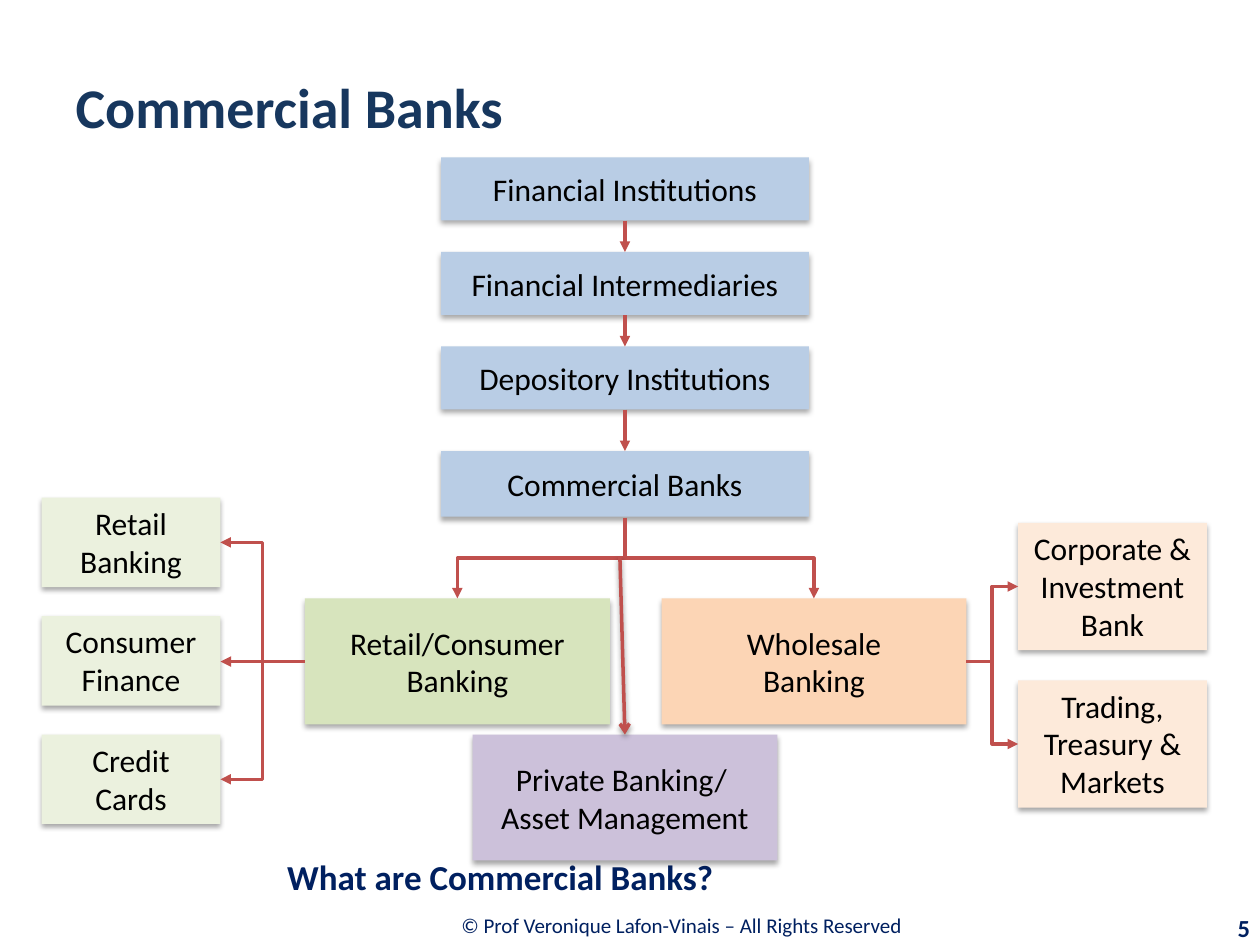
from lxml import etree
from pptx import Presentation
from pptx.dml.color import RGBColor
from pptx.enum import shapes, text
from pptx.oxml import ns
from pptx.util import Inches, Pt

COLORS = {
    "title": "17375E", "navy": "002060", "black": "000000", "arrow": "C0504D",
    "blue": "B9CDE5", "green": "D7E4BD", "orange": "FCD5B5", "purple": "CCC1DA",
    "pale_green": "EBF1DE", "pale_orange": "FDEADA",
}
MIDDLE = text.MSO_ANCHOR.MIDDLE
LEFT, CENTER, RIGHT = text.PP_ALIGN.LEFT, text.PP_ALIGN.CENTER, text.PP_ALIGN.RIGHT


def rgb(name):
    return RGBColor.from_string(COLORS[name])


def add_shadow(shape, opacity, distance):
    """Replace the theme effect with a soft shadow falling straight down."""
    properties = shape.element.spPr
    effects = etree.SubElement(properties, ns.qn("a:effectLst"))
    shadow = etree.SubElement(effects, ns.qn("a:outerShdw"), blurRad=str(Pt(3.1)),
                              dist=str(Pt(distance)), dir="5400000", rotWithShape="0")
    color = etree.SubElement(shadow, ns.qn("a:srgbClr"), val=COLORS["black"])
    etree.SubElement(color, ns.qn("a:alpha"), val=str(opacity * 1000))


def write_text(shape, lines, size, color, align, bold=False, anchor=MIDDLE, wrap=True):
    frame = shape.text_frame
    frame.word_wrap = wrap
    frame.vertical_anchor = anchor
    frame.text = lines
    font_format = {"name": "Calibri", "size": Pt(size), "bold": bold}
    for paragraph in frame.paragraphs:
        paragraph.alignment = align
        for run in paragraph.runs:
            for attribute, value in font_format.items():
                setattr(run.font, attribute, value)
            run.font.color.rgb = rgb(color)


def add_title(slide, title):
    shape = slide.shapes.title
    place = {"left": 0.5, "top": 0.13, "width": 8.25, "height": 1.42}
    for attribute, value in place.items():
        setattr(shape, attribute, Inches(value))
    write_text(shape, title, 32, "title", LEFT, bold=True)


def add_label(slide, place, *text_format, bold=False):
    shape = slide.shapes.add_textbox(*map(Inches, place))
    write_text(shape, *text_format, bold=bold)


def add_box(slide, place, lines, color, anchor=MIDDLE, wrap=False):
    shape = slide.shapes.add_shape(shapes.MSO_SHAPE.RECTANGLE, *map(Inches, place))
    shape.fill.solid()
    shape.fill.fore_color.rgb = rgb(color)
    shape.line.fill.background()
    add_shadow(shape, 35, 1.8)
    write_text(shape, lines, 18, "black", CENTER, anchor=anchor, wrap=wrap)


def add_arrow(slide, start, end, kind=shapes.MSO_CONNECTOR.STRAIGHT, head="triangle",
              shadow=False):
    connector = slide.shapes.add_connector(kind, *map(Inches, (*start, *end)))
    connector.line.color.rgb = rgb("arrow")
    connector.line.width = Pt(2)
    etree.SubElement(connector.line._get_or_add_ln(), ns.qn("a:tailEnd"), type=head)
    if shadow:
        add_shadow(connector, 38, 1.6)
    else:
        etree.SubElement(connector.element.spPr, ns.qn("a:effectLst"))
    return connector


def add_side_elbow(slide, start, end):
    add_arrow(slide, start, end, shapes.MSO_CONNECTOR.ELBOW)


def add_down_elbow(slide, start, end):
    """Elbow that leaves and arrives vertically: a sideways one turned by 90 degrees."""
    middle_x, middle_y = (start[0] + end[0]) / 2, (start[1] + end[1]) / 2
    half_x, half_y = (end[0] - start[0]) / 2, (end[1] - start[1]) / 2
    connector = add_arrow(slide, (middle_x - half_y, middle_y + half_x),
                          (middle_x + half_y, middle_y - half_x),
                          shapes.MSO_CONNECTOR.ELBOW)
    connector.element.spPr.xfrm.set("rot", "5400000")


def add_hierarchy(slide, center):
    levels = [
        ("Financial Institutions", 1.25, 0.5),
        ("Financial Intermediaries", 2, 0.5),
        ("Depository Institutions", 2.75, 0.5),
        ("Commercial Banks", 3.58, 0.52),
    ]
    for name, top, height in levels:
        add_box(slide, (3.5, top, 2.92, height), name, "blue")
    for (_, top, height), (_, next_top, _) in zip(levels, levels[1:]):
        add_arrow(slide, (center, top + height), (center, next_top))


def add_divisions(slide, center):
    width, top = 2.42, 4.75
    for lines, left, color in [("Retail/Consumer\nBanking", 2.42, "green"),
                               ("Wholesale\nBanking", 5.25, "orange")]:
        add_box(slide, (left, top, width, 1), lines, color)
        add_down_elbow(slide, (center, 4.11), (left + width / 2, top))


def add_retail_units(slide):
    left, width, height = 0.33, 1.42, 0.71
    for index, name in enumerate(["Retail Banking", "Consumer Finance", "Credit Cards"]):
        top = 3.95 + 0.94 * index
        add_box(slide, (left, top, width, height), name, "pale_green",
                text.MSO_ANCHOR.TOP, True)
        if index == 1:
            add_arrow(slide, (2.42, 5.25), (left + width, 5.25))
        else:
            add_side_elbow(slide, (2.42, 5.25), (left + width, top + height / 2))


def add_wholesale_units(slide):
    left, height = 8.08, 1.01
    for name, top in [("Corporate & Investment Bank", 4.15),
                      ("Trading, Treasury & Markets", 5.4)]:
        add_box(slide, (left, top, 1.5, height), name, "pale_orange",
                text.MSO_ANCHOR.TOP, True)
        add_side_elbow(slide, (7.67, 5.25), (left, top + height / 2))


def main():
    presentation = Presentation()
    presentation.slide_width, presentation.slide_height = Inches(10), Inches(7.5)
    slide = presentation.slides.add_slide(presentation.slide_layouts[5])
    center = 4.96

    add_label(slide, (2.19, 7.15, 6.48, 0.39),
              "© Prof Veronique Lafon-Vinais – All Rights Reserved ", 12, "navy", CENTER)
    add_title(slide, "Commercial Banks")
    add_hierarchy(slide, center)
    add_divisions(slide, center)
    add_retail_units(slide)
    add_wholesale_units(slide)
    add_label(slide, (2.18, 6.72, 7.82, 0.47), "What are Commercial Banks?",
              20, "navy", LEFT, bold=True)
    add_label(slide, (9.01, 7.2, 1.01, 0.32), "5", 14, "navy", RIGHT, bold=True)
    add_box(slide, (3.75, 5.83, 2.42, 1), "Private Banking/ \nAsset Management", "purple")
    add_arrow(slide, (4.92, 4.42), (center, 5.83), head="arrow", shadow=True)

    presentation.save("out.pptx")


if __name__ == "__main__":
    main()
